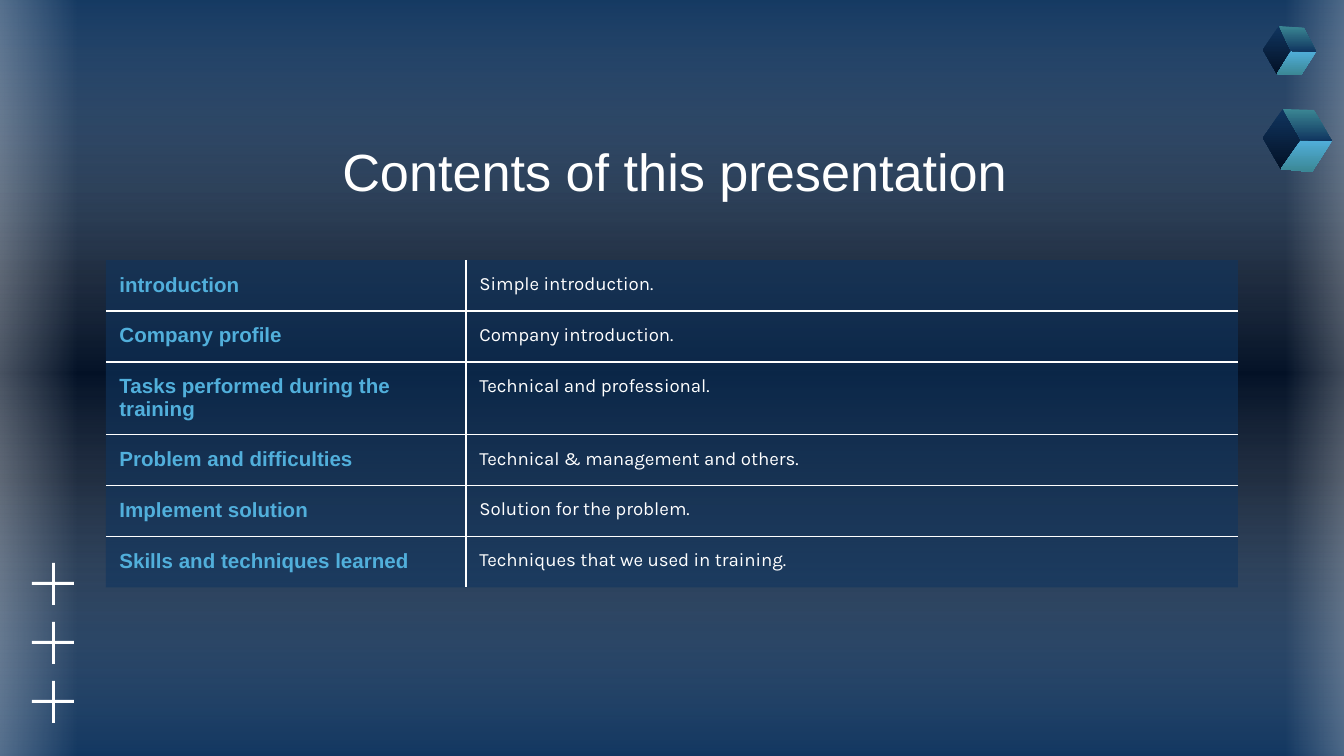
from pptx import Presentation
from pptx import util as u
from pptx.dml.color import RGBColor
from pptx.enum import shapes, text
from pptx.oxml import parse_xml
from pptx.oxml.ns import nsdecls, qn

SCALE = 914400 / 134.4
COLOURS = {
    "white": "FFFFFF",
    "navy": "10355F",
    "midnight": "031126",
    "sky": "51AFDB",
    "teal": "3B8794",
}
NO_STYLE = "{2D5ABB26-0587-4C30-8999-92F81FD0307C}"
CONTENTS = [
    ("introduction", "Simple introduction."),
    ("Company profile", "Company introduction."),
    ("Tasks performed during the training", "Technical and professional."),
    ("Problem and difficulties", "Technical & management and others."),
    ("Implement solution", "Solution for the problem."),
    ("Skills and techniques learned", "Techniques that we used in training."),
]
SMALL_CUBE = {
    "top": (1279, 26), "top_right": (1304, 28), "right": (1316, 52),
    "bottom_right": (1301, 75), "bottom": (1277, 74), "left": (1263, 50),
    "centre": (1291, 51),
}
LARGE_CUBE = {
    "top": (1283, 109), "top_right": (1314, 110), "right": (1332, 141),
    "bottom_right": (1312, 172), "bottom": (1281, 169), "left": (1263, 138),
    "centre": (1301, 140),
}
CUBE_FACES = [
    (("top", "left", "bottom", "centre"), ("navy", "midnight")),
    (("centre", "right", "bottom_right", "bottom"), ("sky", "teal")),
    (("top", "top_right", "right", "centre"), ("teal", "navy")),
]


def px(value):
    return u.Emu(round(value * SCALE))


def rgb(name):
    return RGBColor.from_string(COLOURS[name])


def set_gradient(fill, element, stops, angle):
    fill.solid()
    solid = element.find(".//" + qn("a:solidFill"))
    stop_xml = "".join(
        f'<a:gs pos="{position * 1000}"><a:srgbClr val="{COLOURS[colour]}">'
        f'<a:alpha val="{alpha * 1000}"/></a:srgbClr></a:gs>'
        for position, colour, alpha in stops
    )
    gradient = parse_xml(
        f'<a:gradFill {nsdecls("a")} rotWithShape="1"><a:gsLst>{stop_xml}</a:gsLst>'
        f'<a:lin ang="{angle * 60000}" scaled="0"/></a:gradFill>'
    )
    solid.getparent().replace(solid, gradient)


def write_text(frame, content, font="Arial", size=11, colour="white", bold=False,
               align=text.PP_ALIGN.LEFT, space_after=0):
    paragraph = frame.paragraphs[0]
    paragraph.alignment = align
    paragraph.space_after = u.Pt(space_after)
    run = paragraph.add_run()
    run.text = content
    run.font.name = font
    run.font.size = u.Pt(size)
    run.font.bold = bold
    run.font.color.rgb = rgb(colour)


def set_margins(target):
    target.margin_left = target.margin_right = u.Inches(0.1)
    target.margin_top = target.margin_bottom = u.Inches(0.1)


def add_rectangle(container, left, top, width, height):
    shape = container.add_shape(
        shapes.MSO_SHAPE.RECTANGLE, px(left), px(top), px(width), px(height))
    shape.shadow.inherit = False
    shape.line.fill.background()
    return shape


def add_glow(slide, box, stops, angle):
    shape = add_rectangle(slide.shapes, *box)
    set_gradient(shape.fill, shape.element, stops, angle)
    slide.shapes.title.element.addprevious(shape.element)


def add_backdrop(slide):
    set_gradient(
        slide.background.fill, slide.element,
        [(0, "navy", 100), (37, "midnight", 100),
         (63, "midnight", 100), (100, "navy", 100)], 90)
    add_glow(slide, (0, -17, 1372, 781),
             [(0, "navy", 59), (50, "white", 0), (100, "navy", 59)], 90)
    fade = [(0, "white", 47), (100, "white", 0)]
    add_glow(slide, (-55, -12, 132, 780), fade, 0)
    add_glow(slide, (1285, -17, 114, 780), fade, 180)


def add_title(slide, content):
    title = slide.shapes.title
    title.left, title.top = px(108), px(128)
    title.width, title.height = px(1133), px(85)
    frame = title.text_frame
    frame.auto_size = text.MSO_AUTO_SIZE.NONE
    frame.vertical_anchor = text.MSO_ANCHOR.MIDDLE
    set_margins(frame)
    write_text(frame, content, size=28, align=text.PP_ALIGN.CENTER)


def format_cell(cell, sides):
    set_margins(cell)
    cell.vertical_anchor = text.MSO_ANCHOR.TOP
    properties = cell._tc.get_or_add_tcPr()
    for side in sides:
        properties.append(parse_xml(
            f'<a:ln{side} {nsdecls("a")} w="{u.Pt(0.75)}"><a:solidFill>'
            f'<a:srgbClr val="{COLOURS["white"]}"/></a:solidFill></a:ln{side}>'))
    cell.fill.solid()
    cell.fill.fore_color.rgb = rgb("navy")
    fill_colour = properties.find(qn("a:solidFill")).find(qn("a:srgbClr"))
    fill_colour.append(parse_xml(f'<a:alpha {nsdecls("a")} val="59000"/>'))


def add_contents_table(slide, rows):
    widths = (360, 772)
    row_height = 51
    frame = slide.shapes.add_table(
        len(rows), len(widths), px(106), px(260),
        px(sum(widths)), px(row_height * len(rows)))
    table = frame.table
    table.first_row = table.horz_banding = False
    frame.element.find(".//" + qn("a:tableStyleId")).text = NO_STYLE
    for column, width in zip(table.columns, widths):
        column.width = px(width)
    for index, (topic, detail) in enumerate(rows):
        table.rows[index].height = px(row_height)
        horizontal = ("T" if index else "") + ("B" if index < len(rows) - 1 else "")
        topic_cell, detail_cell = table.cell(index, 0), table.cell(index, 1)
        format_cell(topic_cell, "R" + horizontal)
        format_cell(detail_cell, "L" + horizontal)
        write_text(topic_cell.text_frame, topic, colour="sky", bold=True)
        write_text(detail_cell.text_frame, detail, font="Karla", size=10,
                   space_after=16)


def add_plus(slide, left, top, size=42, thickness=3):
    group = slide.shapes.add_group_shape()
    inset = (size - thickness) // 2
    for box in ((left, top + inset, size, thickness),
                (left + inset + 1, top, thickness, size)):
        bar = add_rectangle(group.shapes, *box)
        bar.fill.solid()
        bar.fill.fore_color.rgb = rgb("white")


def add_cube(slide, corners):
    group = slide.shapes.add_group_shape()
    for names, (start, end) in CUBE_FACES:
        first, *others = [corners[name] for name in names]
        builder = group.shapes.build_freeform(*first, scale=SCALE)
        builder.add_line_segments(others, close=True)
        face = builder.convert_to_shape()
        face.shadow.inherit = False
        face.line.fill.background()
        set_gradient(face.fill, face.element, [(0, start, 100), (100, end, 100)], 90)


def main():
    presentation = Presentation()
    presentation.slide_width, presentation.slide_height = px(1344), px(756)
    slide = presentation.slides.add_slide(presentation.slide_layouts[5])
    add_backdrop(slide)
    add_title(slide, "Contents of this presentation")
    add_contents_table(slide, CONTENTS)
    for index in range(3):
        add_plus(slide, 32, 563 + 59 * index)
    for corners in (LARGE_CUBE, SMALL_CUBE):
        add_cube(slide, corners)
    presentation.save("out.pptx")


if __name__ == "__main__":
    main()
